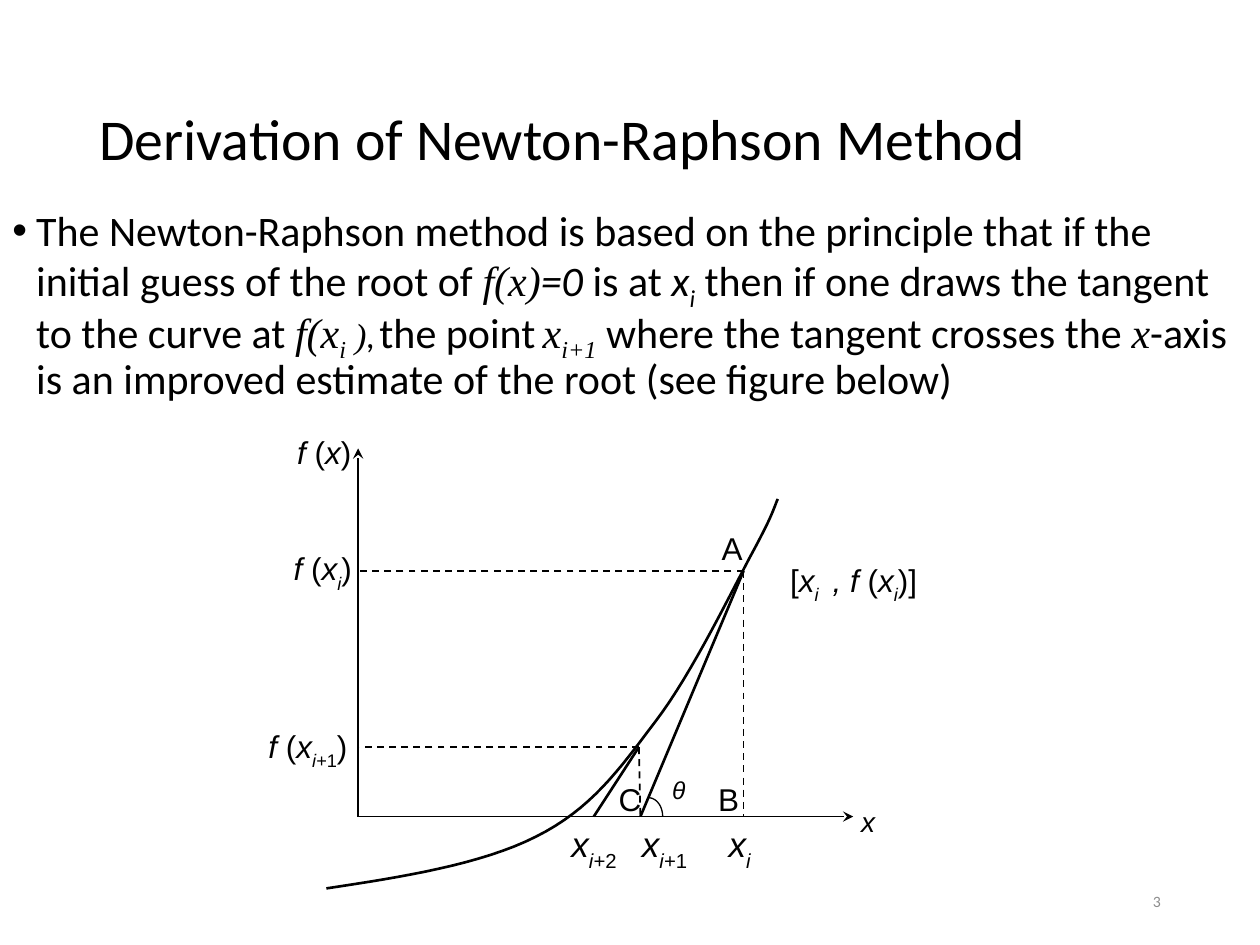
from lxml import etree
from pptx import Presentation
from pptx import util as u
from pptx.dml.color import RGBColor
from pptx.enum import dml, shapes, text
from pptx.oxml import ns

BLACK = RGBColor(0x00, 0x00, 0x00)
GREY = RGBColor(0x8C, 0x8C, 0x8C)
SANS, SERIF, LABEL = "Calibri", "Times New Roman", "Arial"
LABEL_HEIGHT = 0.97
INDENT = 0.39

ORIGIN = (2.06, 7.85)
POINT_A, FOOT_A = (9.83, 2.9), (9.83, 7.85)
POINT_C, FOOT_C = (7.72, 6.45), (7.75, 7.85)
CURVE = [(1.42, 9.3), (2.97, 9.07), (4.55, 8.81), (5.64, 8.26), (6.76, 7.7),
         (7.32, 6.91), (8.05, 5.94), (8.79, 4.98), (9.63, 3.23), (10.03, 2.49),
         (10.44, 1.73), (10.44, 1.63), (10.52, 1.45)]
ANGLE = [(7.9, 7.47), (8.08, 7.47), (8.2, 7.65), (8.2, 7.85)]

F_OPEN = [("f ", "i"), ("(", ""), ("x", "i")]
F_XI = F_OPEN + [("i", "is"), (")", "")]


def add_text_box(page, box, anchor=text.MSO_ANCHOR.TOP):
    """Add a wrapping text box and return its frame and first paragraph."""
    frame = page.shapes.add_textbox(*(u.Cm(value) for value in box)).text_frame
    frame.word_wrap = True
    frame.vertical_anchor = anchor
    return frame, frame.paragraphs[0]


def add_span(para, words, size, font, style="", color=BLACK, drop=-25):
    """Add a run; style letters are i for italic and s for subscript."""
    span = para.add_run()
    span.text = words
    span.font.size = u.Pt(size)
    span.font.name = font
    span.font.color.rgb = color
    span.font.italic = "i" in style
    if "s" in style:
        span.font._element.set("baseline", str(drop * 1000))


def add_title(page, box):
    """Place the slide title."""
    _, para = add_text_box(page, box, text.MSO_ANCHOR.MIDDLE)
    para.line_spacing = 0.9
    add_span(para, "Derivation of Newton-Raphson Method", 33, SANS)


def add_body(page, box):
    """Place the bulleted explanation."""
    _, para = add_text_box(page, box)
    properties = para._p.get_or_add_pPr()
    properties.set("marL", str(u.Cm(0.48)))
    properties.set("indent", str(-u.Cm(0.48)))
    bullet_font = etree.SubElement(properties, ns.qn("a:buFont"))
    bullet_font.set("typeface", LABEL)
    etree.SubElement(properties, ns.qn("a:buChar")).set("char", "•")
    para.line_spacing = 0.9
    for words, size, font, style in [
        ("The Newton-Raphson method is based on the principle that if the "
         "initial guess of the root of ", 24, SANS, ""),
        ("f(x)", 24, SERIF, "i"),
        ("=0", 24, SANS, "i"),
        (" is at ", 24, SANS, ""),
        ("x", 24, SANS, "i"),
        ("i", 24, SANS, "is"),
        (" then if one draws the tangent to the curve at ", 24, SANS, ""),
        ("f(x", 24, SERIF, "i"),
        ("i", 24, SERIF, "is"),
        (" )", 20, SERIF, "i"),
        (",", 20, SANS, "i"),
        (" ", 10.5, SANS, ""),
        ("the point", 24, SANS, ""),
        (" ", 18, SANS, ""),
        ("x", 24, SERIF, "i"),
        ("i+1", 24, SERIF, "is"),
        (" where the tangent crosses the ", 24, SANS, ""),
        ("x", 24, SERIF, "i"),
        ("-axis is an improved estimate of the root (see figure below)",
         24, SANS, ""),
    ]:
        add_span(para, words, size, font, style)


def add_page_number(page, box):
    """Place the slide number."""
    _, para = add_text_box(page, box, text.MSO_ANCHOR.MIDDLE)
    para.alignment = text.PP_ALIGN.RIGHT
    add_span(para, "3", 9, SANS, color=GREY)


def add_line(page, corner, start, end, width=1, dashed=False, arrow=False):
    """Draw a straight line between two points relative to the corner."""
    ends = [u.Cm(base + value) for point in (start, end)
            for base, value in zip(corner, point)]
    line = page.shapes.add_connector(shapes.MSO_CONNECTOR.STRAIGHT, *ends)
    line.line.width = u.Pt(width)
    line.line.color.rgb = BLACK
    if dashed:
        line.line.dash_style = dml.MSO_LINE.DASH
    if arrow:
        tail = etree.SubElement(line.line._get_or_add_ln(), ns.qn("a:tailEnd"))
        tail.set("type", "stealth")
    etree.SubElement(line._element.spPr, ns.qn("a:effectLst"))


def bezier_points(controls, steps=16):
    """Return points along a chain of cubic curves."""
    points = [controls[0]]
    for first in range(0, len(controls) - 1, 3):
        for step in range(1, steps + 1):
            t = step / steps
            weights = ((1 - t) ** 3, 3 * t * (1 - t) ** 2,
                       3 * t ** 2 * (1 - t), t ** 3)
            segment = controls[first:first + 4]
            points.append(tuple(
                sum(w * point[axis] for w, point in zip(weights, segment))
                for axis in (0, 1)))
    return points


def add_curve(page, corner, controls, width):
    """Draw an open smooth curve relative to the corner."""
    points = [tuple(u.Cm(base + value) for base, value in zip(corner, point))
              for point in bezier_points(controls)]
    builder = page.shapes.build_freeform(*points[0])
    builder.add_line_segments(points[1:], close=False)
    curve = builder.convert_to_shape()
    curve.shadow.inherit = False
    curve.fill.background()
    curve.line.color.rgb = BLACK
    curve.line.width = u.Pt(width)


def add_label(page, corner, place, spans, size=18, indent=0):
    """Write a label at a left, top and width relative to the corner."""
    left, top, width = place
    frame, para = add_text_box(
        page, (corner[0] + left, corner[1] + top, width, LABEL_HEIGHT))
    frame.margin_left = u.Cm(0.25 + indent)
    para.alignment = text.PP_ALIGN.JUSTIFY
    for words, style in spans:
        add_span(para, words, size, LABEL, style, drop=-30)


def add_graph(page, corner):
    """Draw the curve, its tangents and their labels."""
    add_label(page, corner, (0.58, 0, 1.9), F_OPEN + [(")", "")])
    add_label(page, corner, (0.51, 2.34, 1.83), F_XI)
    add_label(page, corner, (0, 5.92, 2.41),
              F_OPEN + [("i+", "is"), ("1", "s"), (")", "")])
    x = ("x", "i")
    for left, top, spans, size in [
        (5.72, 7.85, [x, ("i+", "is"), ("2", "s")], 20),
        (7.14, 7.85, [x, ("i+", "is"), ("1", "s")], 20),
        (8.89, 7.85, [x, ("i", "is")], 20),
        (11.56, 7.49, [x], 16),
        (7.75, 6.88, [("θ", "i")], 14),
    ]:
        add_label(page, corner, (left, top, 2.06), spans, size, INDENT)
    add_curve(page, corner, ANGLE, 0.75)
    add_label(page, corner, (10.52, 2.57, 3.43),
              [("[", ""), x, ("i ", "is"), (" , ", "i")] + F_XI + [("]", "")])
    for end in ((12.04, ORIGIN[1]), (ORIGIN[0], 0.43)):
        add_line(page, corner, ORIGIN, end, arrow=True)
    add_curve(page, corner, CURVE, 1.5)
    for point, foot in ((POINT_A, FOOT_A), (POINT_C, FOOT_C)):
        add_line(page, corner, point, foot, dashed=True)
        add_line(page, corner, point, (ORIGIN[0], point[1]), dashed=True)
    for point, root in ((POINT_A, FOOT_C), (POINT_C, (6.81, ORIGIN[1]))):
        add_line(page, corner, point, root, width=1.5)
    for letter, left, top in (("C", 7.06, 6.99), ("A", 9.14, 1.93),
                              ("B", 9.07, 6.99)):
        add_label(page, corner, (left, top, 1.57), [(letter, "")])


def main():
    """Build the deck and save it."""
    deck = Presentation()
    deck.slide_width, deck.slide_height = u.Cm(25.4), u.Cm(19.05)
    page = deck.slides.add_slide(deck.slide_layouts[6])
    add_title(page, (1.75, 1.02, 21.9, 3.68))
    add_body(page, (0, 4.11, 25.4, 5))
    add_page_number(page, (17.93, 17.65, 5.72, 1.02))
    add_graph(page, (5.16, 8.61))
    deck.save("out.pptx")


if __name__ == "__main__":
    main()
